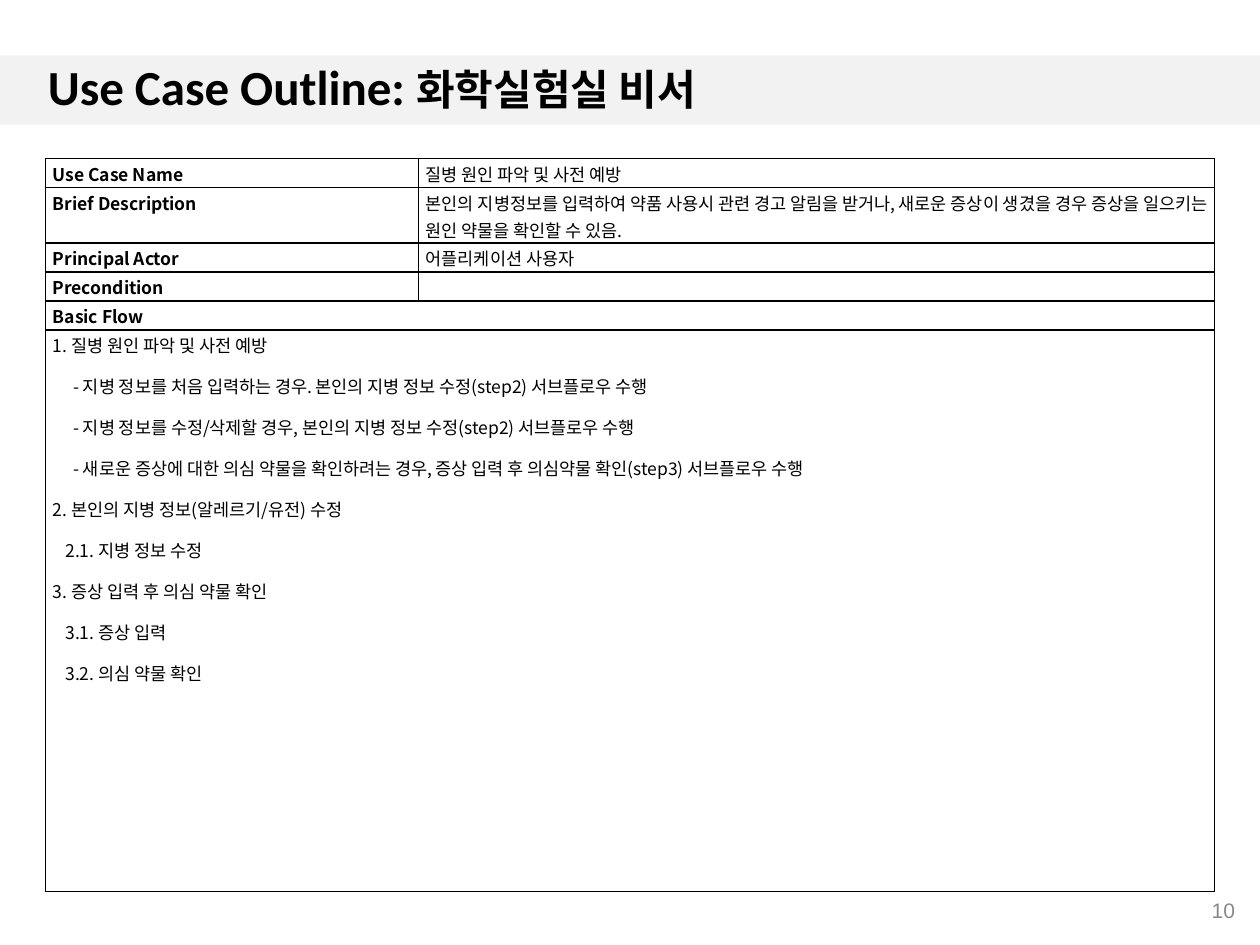
from dataclasses import dataclass

from lxml import etree
from pptx import Presentation
from pptx import util as u
from pptx.dml.color import RGBColor
from pptx.enum import shapes, text
from pptx.oxml import ns

COLORS = {"ink": "000000", "paper": "FFFFFF", "band": "F2F2F2", "number": "898989"}
KOREAN = "Noto Sans CJK KR"
COLUMNS = (2.96, 6.32)
ROW_HEIGHTS = (0.23, 0.39, 0.23, 0.23, 0.23, 4.46)
CELL_FORMAT = {
    "margin_left": u.Inches(0.06),
    "margin_right": u.Inches(0.06),
    "margin_top": u.Inches(0.01),
    "margin_bottom": 0,
}
PARAGRAPH_FORMAT = {
    "alignment": text.PP_ALIGN.JUSTIFY,
    "line_spacing": 1.07,
    "space_after": u.Pt(8),
}


@dataclass
class Line:
    wording: str
    indent: float = 0
    bold: bool = False


@dataclass
class Field:
    label: str
    value: str


FIELDS = [
    Field("Use Case Name", "질병 원인 파악 및 사전 예방"),
    Field(
        "Brief Description",
        "본인의 지병정보를 입력하여 약품 사용시 관련 경고 알림을 받거나, "
        "새로운 증상이 생겼을 경우 증상을 일으키는 원인 약물을 확인할 수 있음.",
    ),
    Field("Principal Actor", "어플리케이션 사용자"),
    Field("Precondition", ""),
]
FLOW = [
    Line("1. 질병 원인 파악 및 사전 예방"),
    Line("- 지병 정보를 처음 입력하는 경우. 본인의 지병 정보 수정(step2) 서브플로우 수행", 0.16),
    Line("- 지병 정보를 수정/삭제할 경우, 본인의 지병 정보 수정(step2) 서브플로우 수행", 0.16),
    Line(
        "- 새로운 증상에 대한 의심 약물을 확인하려는 경우, "
        "증상 입력 후 의심약물 확인(step3) 서브플로우 수행",
        0.16,
    ),
    Line("2. 본인의 지병 정보(알레르기/유전) 수정"),
    Line("2.1. 지병 정보 수정", 0.1),
    Line("3. 증상 입력 후 의심 약물 확인"),
    Line("3.1. 증상 입력", 0.1),
    Line("3.2. 의심 약물 확인", 0.1),
]


def rgb(name: str) -> RGBColor:
    return RGBColor.from_string(COLORS[name])


def apply(target, formats: dict) -> None:
    for attribute, value in formats.items():
        setattr(target, attribute, value)


def add_run(paragraph, wording: str, size: float, font: str, color: str = "ink", bold: bool = False) -> None:
    run = paragraph.add_run()
    run.text = wording
    apply(run.font, {"size": u.Pt(size), "name": font, "bold": bold})
    run.font.color.rgb = rgb(color)
    east_asian = etree.SubElement(run.font._element, ns.qn("a:ea"))
    east_asian.set("typeface", KOREAN)


def add_borders(cell) -> None:
    properties = cell._tc.get_or_add_tcPr()
    for side in ("a:lnL", "a:lnR", "a:lnT", "a:lnB"):
        border = etree.SubElement(properties, ns.qn(side), w=str(u.Pt(1)))
        fill = etree.SubElement(border, ns.qn("a:solidFill"))
        etree.SubElement(fill, ns.qn("a:srgbClr"), val=COLORS["ink"])


def fill_cell(cell, lines: list[Line]) -> None:
    for index, line in enumerate(lines):
        frame = cell.text_frame
        paragraph = frame.add_paragraph() if index else frame.paragraphs[0]
        apply(paragraph, PARAGRAPH_FORMAT)
        if line.indent:
            paragraph._p.get_or_add_pPr().set("marL", str(u.Inches(line.indent)))
        if line.wording:
            add_run(paragraph, line.wording, 10, KOREAN, bold=line.bold)
        else:
            etree.SubElement(paragraph._p, ns.qn("a:endParaRPr"), sz="1000")


def add_band(slide) -> None:
    band = slide.shapes.add_shape(
        shapes.MSO_SHAPE.RECTANGLE, 0, u.Inches(0.44), u.Inches(10), u.Inches(0.55)
    )
    band.shadow.inherit = False
    band.fill.solid()
    band.fill.fore_color.rgb = rgb("band")
    band.line.fill.background()
    slide.shapes._spTree.insert(2, band._element)


def add_title(slide) -> None:
    title = slide.shapes.title
    apply(title, {
        "left": u.Inches(0.28), "top": u.Inches(0.43),
        "width": u.Inches(9.45), "height": u.Inches(0.56),
    })
    apply(title.text_frame, {
        "vertical_anchor": text.MSO_ANCHOR.MIDDLE,
        "auto_size": text.MSO_AUTO_SIZE.NONE,
        "word_wrap": True,
    })
    heading = title.text_frame.paragraphs[0]
    apply(heading, {"alignment": text.PP_ALIGN.LEFT, "line_spacing": 0.9})
    add_run(heading, "Use Case Outline: ", 28, "Calibri", bold=True)
    add_run(heading, "화학실험실 비서", 24, "Calibri", bold=True)


def add_outline(slide) -> None:
    outline = slide.shapes.add_table(
        len(ROW_HEIGHTS), len(COLUMNS), u.Inches(0.36), u.Inches(1.26),
        u.Inches(sum(COLUMNS)), u.Inches(sum(ROW_HEIGHTS)),
    ).table
    for column, width in zip(outline.columns, COLUMNS):
        column.width = u.Inches(width)
    for row, height in zip(outline.rows, ROW_HEIGHTS):
        row.height = u.Inches(height)
    for cell in outline.iter_cells():
        apply(cell, CELL_FORMAT)
        add_borders(cell)
        cell.fill.solid()
        cell.fill.fore_color.rgb = rgb("paper")
    for row, field in enumerate(FIELDS):
        fill_cell(outline.cell(row, 0), [Line(field.label, bold=True)])
        fill_cell(outline.cell(row, 1), [Line(field.value)])
    sections = [[Line("Basic Flow", bold=True)], FLOW]
    for row, lines in enumerate(sections, len(FIELDS)):
        outline.cell(row, 0).merge(outline.cell(row, 1))
        fill_cell(outline.cell(row, 0), lines)


def add_page_number(slide) -> None:
    number = slide.shapes.add_textbox(
        u.Inches(7.65), u.Inches(7.02), u.Inches(2.25), u.Inches(0.4)
    )
    apply(number.text_frame, {"word_wrap": True, "vertical_anchor": text.MSO_ANCHOR.MIDDLE})
    paragraph = number.text_frame.paragraphs[0]
    paragraph.alignment = text.PP_ALIGN.RIGHT
    add_run(paragraph, "10", 12, "Arial", "number")


def main() -> None:
    deck = Presentation()
    apply(deck, {"slide_width": u.Inches(10), "slide_height": u.Inches(7.5)})
    slide = deck.slides.add_slide(deck.slide_layouts[5])
    add_band(slide)
    add_outline(slide)
    add_title(slide)
    add_page_number(slide)
    deck.save("out.pptx")


if __name__ == "__main__":
    main()
